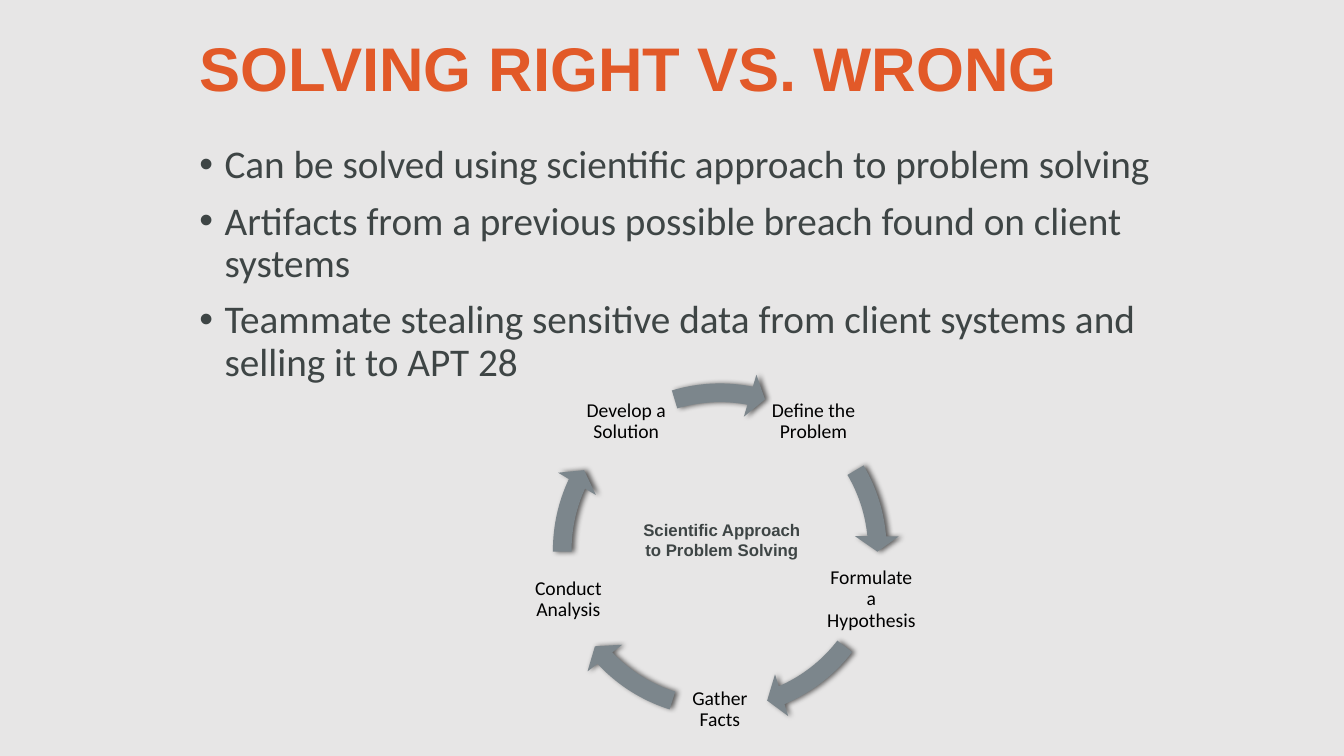
from math import cos, radians, sin

from lxml import etree
from pptx import Presentation
from pptx.dml.color import RGBColor
from pptx.enum.shapes import MSO_SHAPE
from pptx.enum.text import MSO_ANCHOR, PP_ALIGN
from pptx.oxml import parse_xml
from pptx.oxml.ns import nsdecls, qn
from pptx.util import Inches, Pt

BACKGROUND = RGBColor(0xE7, 0xE6, 0xE6)
ORANGE = RGBColor(0xE2, 0x59, 0x28)
CHARCOAL = RGBColor(0x3E, 0x45, 0x45)
GRAY = RGBColor(0x7C, 0x86, 0x8C)
BLACK = RGBColor(0x00, 0x00, 0x00)

TITLE = "SOLVING RIGHT VS. WRONG"
BULLETS = [
    "Can be solved using scientific approach to problem solving",
    "Artifacts from a previous possible breach found on client systems",
    "Teammate stealing sensitive data from client systems and selling it to APT 28",
]
CYCLE_LABEL = "Scientific Approach to Problem Solving"
STEPS = [
    ("Define the Problem", 329.44, 354.88),
    ("Formulate a Hypothesis", 37.56, 66.91),
    ("Gather Facts", 107.5, 136.84),
    ("Conduct Analysis", 179.52, 204.96),
    ("Develop a Solution", 253.31, 281.09),
]


def add_text(slide, box, lines, size, color, font="Calibri", bold=False,
             align=PP_ALIGN.LEFT, anchor=MSO_ANCHOR.TOP, spacing=0.9,
             before=0, after=0, inset=None, bullet=False):
    sp = slide.shapes.add_textbox(*map(Inches, box))
    tf = sp.text_frame
    tf.word_wrap = True
    tf.vertical_anchor = anchor
    if inset is not None:
        tf.margin_left = tf.margin_right = Inches(inset)
        tf.margin_top = tf.margin_bottom = Inches(inset)
    for i, line in enumerate(lines):
        p = tf.paragraphs[0] if i == 0 else tf.add_paragraph()
        p.alignment = align
        p.line_spacing = spacing
        p.space_before = Pt(before)
        p.space_after = Pt(after)
        if bullet:
            add_bullet(p)
        r = p.add_run()
        r.text = line
        r.font.size = Pt(size)
        r.font.name = font
        r.font.bold = bold
        r.font.color.rgb = color
    return sp


def add_bullet(p):
    pPr = p._p.get_or_add_pPr()
    pPr.set("marL", str(Inches(0.25)))
    pPr.set("indent", str(-Inches(0.25)))
    etree.SubElement(pPr, qn("a:buFont")).set("typeface", "Arial")
    etree.SubElement(pPr, qn("a:buChar")).set("char", "•")


def add_arrow(slide, box, start, end):
    sp = slide.shapes.add_shape(MSO_SHAPE.CIRCULAR_ARROW, *map(Inches, box))
    thickness, head_angle, head_width = 0.052, 5.6, 0.061
    values = [thickness, head_angle * 0.6, end * 0.6, start * 0.6, head_width]
    for i, value in enumerate(values):
        sp.adjustments[i] = value
    sp.fill.solid()
    sp.fill.fore_color.rgb = GRAY
    sp.line.fill.background()
    sp._element.spPr.append(parse_xml(
        f'<a:effectLst {nsdecls("a")}>'
        f'<a:outerShdw blurRad="{Pt(4)}" dist="{Pt(2)}" dir="0" rotWithShape="0">'
        '<a:srgbClr val="000000"><a:alpha val="60000"/></a:srgbClr>'
        '</a:outerShdw></a:effectLst>'))


def add_cycle(slide, left, top, size):
    cx, cy = left + size / 2, top + size / 2
    radius, node = 1.58, 0.95
    for i, (step, start, end) in enumerate(STEPS):
        angle = radians(-54 + i * 360 / len(STEPS))
        x = cx + radius * cos(angle) - node / 2
        y = cy + radius * sin(angle) - node / 2
        add_text(slide, (x, y, node, node), [step], 14, BLACK,
                 align=PP_ALIGN.CENTER, anchor=MSO_ANCHOR.MIDDLE,
                 after=4.9, inset=0.02)
        add_arrow(slide, (left, top, size, size), start, end)
    add_text(slide, (cx - 0.93, cy - 0.35, 1.9, 0.47), [CYCLE_LABEL], 12,
             CHARCOAL, font="Arial", bold=True, align=PP_ALIGN.CENTER, spacing=1.0)


def add_title(slide, box):
    add_text(slide, box, [TITLE], 44, ORANGE, font="Arial", bold=True,
             anchor=MSO_ANCHOR.MIDDLE)


def add_body(slide, box):
    add_text(slide, box, BULLETS, 28, CHARCOAL, before=10, bullet=True)


def main():
    prs = Presentation()
    prs.slide_width, prs.slide_height = Inches(13.33), Inches(7.5)
    slide = prs.slides.add_slide(prs.slide_layouts[6])
    slide.background.fill.solid()
    slide.background.fill.fore_color.rgb = BACKGROUND
    add_title(slide, (1.88, 0.15, 10.54, 1.11))
    add_body(slide, (1.88, 1.39, 10.54, 5.36))
    add_cycle(slide, 5.36, 3.68, 3.56)
    prs.save("out.pptx")


if __name__ == "__main__":
    main()
